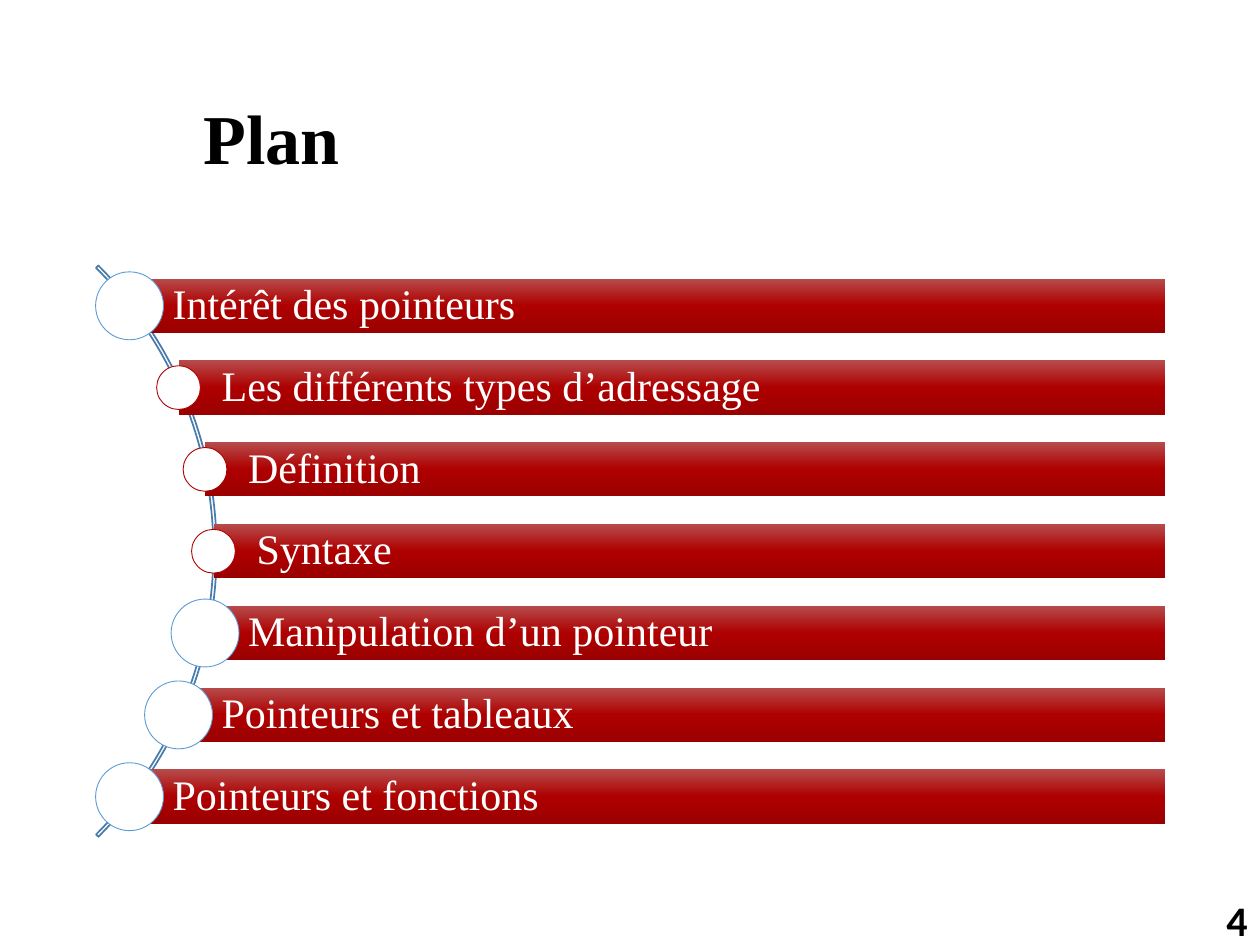
from copy import deepcopy
from math import sqrt

from pptx import Presentation
from pptx.dml.color import RGBColor
from pptx.enum.shapes import MSO_SHAPE as Preset
from pptx.enum.text import MSO_ANCHOR as Anchor, PP_ALIGN as Align
from pptx.oxml.ns import qn
from pptx.util import Pt

COLORS = {"ink": "000000", "paper": "FFFFFF", "arc": "497CAB", "blue": "5B9BD5",
          "red": "AD0101", "bar_top": "B74B4B", "bar_mid": "AE0000", "bar_end": "9B0000"}
BAR_STOPS = [(0, "bar_top"), (0.5, "bar_mid"), (1, "bar_end")]
SERIF = "Times New Roman"
LARGE, SMALL = (38.8, "blue"), (25, "red")
TOPICS = [
    ("Intérêt des pointeurs", LARGE),
    ("Les différents types d’adressage", SMALL),
    ("Définition", SMALL),
    ("Syntaxe", SMALL),
    ("Manipulation d’un pointeur", LARGE),
    ("Pointeurs et tableaux", LARGE),
    ("Pointeurs et fonctions", LARGE),
]


def color(name):
    """Return the named colour."""
    return RGBColor.from_string(COLORS[name])


def apply(target, values):
    """Set each attribute of target from a dict."""
    for key, value in values.items():
        setattr(target, key, value)


def write(shape, text, font, ink, margins, align=Align.LEFT, spacing=0.9):
    """Write one vertically centred line into a shape."""
    left, top, right, bottom = map(Pt, margins)
    frame = shape.text_frame
    apply(frame, {"word_wrap": True, "vertical_anchor": Anchor.MIDDLE,
                  "margin_left": left, "margin_top": top,
                  "margin_right": right, "margin_bottom": bottom})
    line = frame.paragraphs[0]
    apply(line, {"alignment": align, "line_spacing": spacing})
    run = line.add_run()
    run.text = text
    apply(run.font, font)
    run.font.color.rgb = color(ink)


def add_preset(slide, preset, box):
    """Add a preset shape without a shadow."""
    shape = slide.shapes.add_shape(preset, *map(Pt, box))
    shape.shadow.inherit = False
    return shape


def outline(shape, name, width):
    """Give a shape a coloured outline."""
    shape.line.color.rgb = color(name)
    shape.line.width = Pt(width)


def shade(bar):
    """Fill a bar with the vertical red gradient."""
    bar.fill.gradient()
    bar.fill.gradient_angle = 270
    stop_list = bar._element.spPr.find(qn("a:gradFill")).find(qn("a:gsLst"))
    stop_list.append(deepcopy(stop_list[0]))
    for stop, (position, name) in zip(bar.fill.gradient_stops, BAR_STOPS):
        stop.position = position
        stop.color.rgb = color(name)


def add_title(slide, box):
    """Place the slide title."""
    title = slide.shapes.add_textbox(*map(Pt, box))
    write(title, "Plan", {"name": SERIF, "size": Pt(40), "bold": True}, "ink",
          (66.8, 3.6, 7.2, 3.6))


def add_plan(slide, box):
    """Place the topics along an arc that bulges to the right."""
    left, top, width, height = box
    center_x, center_y = left - 157, top + height / 2
    arc_radius, dot_radius = 230.8, 229
    step, bar_height = 46.75, 31

    arc = add_preset(slide, Preset.BLOCK_ARC, (
        center_x - arc_radius, center_y - arc_radius, 2 * arc_radius, 2 * arc_radius))
    for index, value in enumerate((189, 27, 0.004)):
        arc.adjustments[index] = value
    arc.fill.background()
    outline(arc, "arc", 1)

    for index, (topic, (diameter, rim)) in enumerate(TOPICS):
        offset = (index - (len(TOPICS) - 1) / 2) * step
        x = center_x + sqrt(dot_radius ** 2 - offset ** 2)
        y = center_y + offset
        bar = add_preset(slide, Preset.RECTANGLE, (
            x, y - bar_height / 2, left + width - x, bar_height))
        shade(bar)
        bar.line.fill.background()
        write(bar, topic, {"name": SERIF, "size": Pt(24)}, "paper", (24.6, 5, 5, 5))

        dot = add_preset(slide, Preset.OVAL, (
            x - diameter / 2, y - diameter / 2, diameter, diameter))
        dot.fill.solid()
        dot.fill.fore_color.rgb = color("paper")
        outline(dot, rim, 0.5)


def add_page_number(slide, box):
    """Place the page number at the right of its box."""
    number = slide.shapes.add_textbox(*map(Pt, box))
    write(number, "4", {"name": "Calibri", "size": Pt(24), "bold": True}, "ink",
          (7.2, 3.6, 7.2, 3.6), Align.RIGHT, 1.0)


def main():
    """Build and save the slide."""
    deck = Presentation()
    apply(deck, {"slide_width": Pt(720), "slide_height": Pt(540)})
    slide = deck.slides.add_slide(deck.slide_layouts[6])
    add_title(slide, (49.5, 28.75, 621, 104.4))
    add_plan(slide, (50, 152, 616, 326))
    add_page_number(slide, (558, 511.25, 162, 28.75))
    deck.save("out.pptx")


if __name__ == "__main__":
    main()
